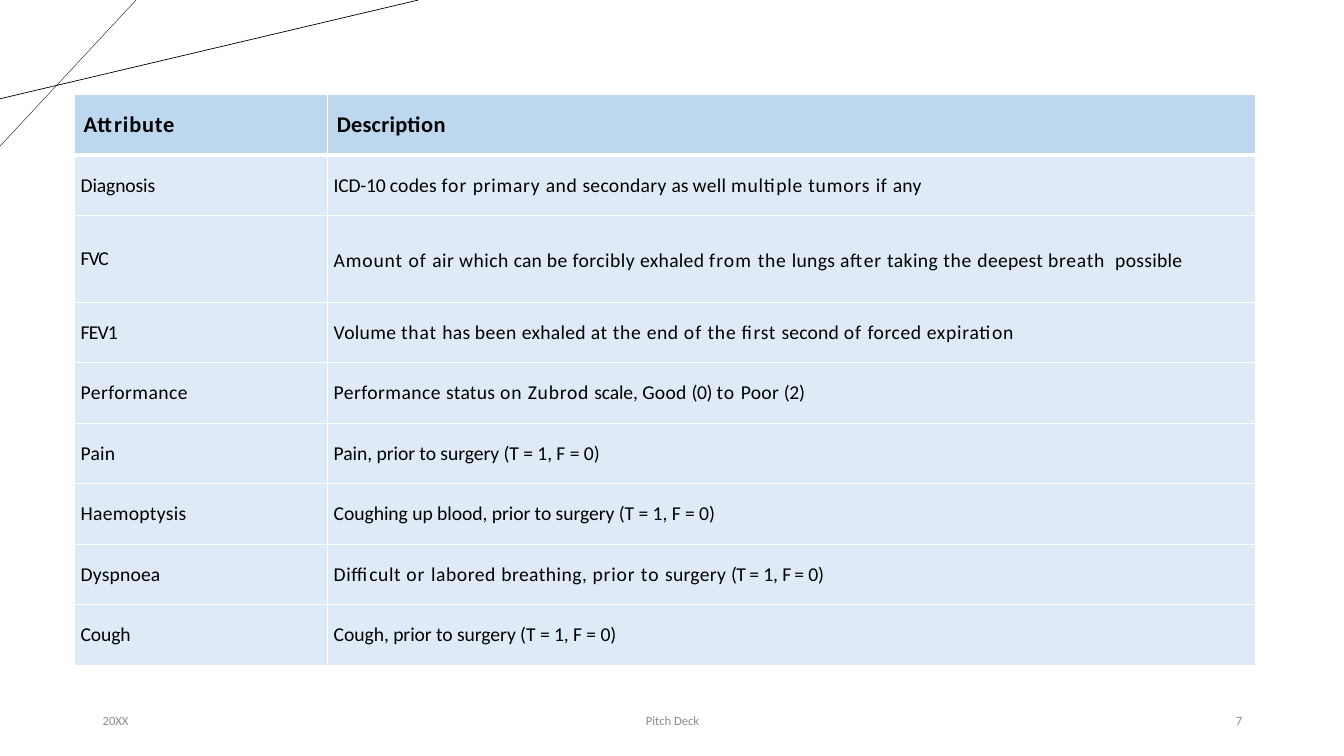
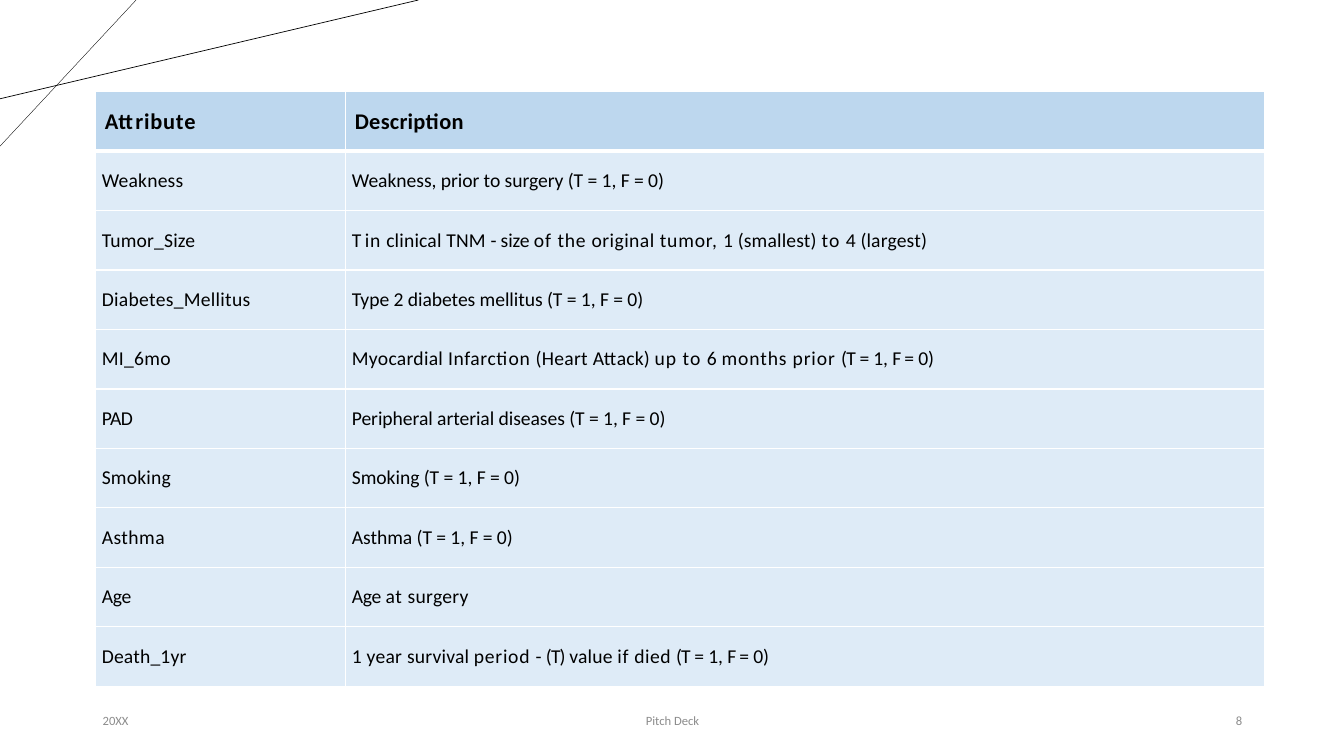
from itertools import chain, groupby, repeat

from lxml import etree
from pptx import Presentation
from pptx import util as u
from pptx.dml import color
from pptx.enum import shapes, text
from pptx.oxml import ns

PX = 9144  # EMU in one px, 100 px to the inch
BLACK, WHITE, GREY = "000000", "FFFFFF", "8C8C8C"
HEAD, BODY = "BDD7EE", "DEEBF7"
LEFT, MID, RIGHT = text.PP_ALIGN.LEFT, text.PP_ALIGN.CENTER, text.PP_ALIGN.RIGHT
TIGHT = (-0.5,)

# Rows: attribute, its letter gap, description, gap of each word.
# Gaps are tenths of a point; the last one runs on to the end.
TITLES = ("Attribute", 6, "Description", (2,))
FIRST = [
    ("Diagnosis", -1, "ICD-10 codes for primary and secondary as well multiple tumors if any",
     (-2, 1, 7, 5, 4, 2, -2, 2, 5, 6, 5, 1)),
    ("FVC", -8, "Amount of air which can be forcibly exhaled from the lungs after "
     "taking the deepest breath  possible",
     (6, 7, 3, 3, 1, 3, 3, 2, 8, 5, 2, 5, 3, 5, 2, 5, 2)),
    ("FEV1", -6, "Volume that has been exhaled at the end of the first second of forced expiration",
     (2, 6, 1, 3, 2, 4, 5, 4, 7, 5, 5, 1, 7, 4, 5)),
    ("Performance", 3, "Performance status on Zubrod scale, Good (0) to Poor (2)",
     (3, 2, 6, 5, -1, 2, -3, 7, 2, -3)),
    ("Pain", 1, "Pain, prior to surgery (T = 1, F = 0)", TIGHT),
    ("Haemoptysis", 2, "Coughing up blood, prior to surgery (T = 1, F = 0)", TIGHT),
    ("Dyspnoea", 1, "Difficult or labored breathing, prior to surgery (T = 1, F = 0)",
     (4, 7, 4, 3, 6, 7, 2, -6, -1, -1, -11, -1, -2)),
    ("Cough", -1, "Cough, prior to surgery (T = 1, F = 0)", TIGHT),
]
SECOND = [
    ("Weakness", 1, "Weakness, prior to surgery (T = 1, F = 0)", TIGHT),
    ("Tumor_Size", 1, "T in clinical TNM - size of the original tumor, 1 (smallest) to 4 (largest)",
     (-7, 5, 1, 1, -1, -1, 7, 5, 3, 6, 1, 1, 7, 1)),
    ("Diabetes_Mellitus", 2, "Type 2 diabetes mellitus (T = 1, F = 0)", TIGHT),
    ("MI_6mo", 2, "Myocardial Infarction (Heart Attack) up to 6 months prior (T = 1, F = 0)",
     (2, 4, 2, 1, 7, 7, 1, 6, 6, -6, -1, -1, -11, -1, -2)),
    ("PAD", -3, "Peripheral arterial diseases (T = 1, F = 0)", TIGHT),
    ("Smoking", 1, "Smoking (T = 1, F = 0)", TIGHT),
    ("Asthma", 3, "Asthma (T = 1, F = 0)", TIGHT),
    ("Age", -2, "Age at surgery", (-2, 4, 2)),
    ("Death_1yr", 1, "1 year survival period - (T) value if died (T = 1, F = 0)",
     (1, 2, 1, 5, -1, -6, 1, 5, 3, -6, -1, -1, -11, -1, -2)),
]


def rgb(code):
    return color.RGBColor.from_string(code)


def write(frame, words, size=14, ink=BLACK, bold=False, align=LEFT,
          gaps=(0,), indent=0, before=0, lead=None):
    """Fill the frame with one paragraph, one run per letter gap."""
    para = frame.paragraphs[0]
    para.alignment = align
    para.space_before = u.Pt(before)
    if lead:
        para.line_spacing = lead
    para._p.get_or_add_pPr().set("marL", str(indent * PX))
    parts = words.split(" ")
    tails = [" "] * (len(parts) - 1) + [""]
    pairs = zip(parts, tails, chain(gaps, repeat(gaps[-1])))
    for gap, group in groupby(pairs, key=lambda item: item[2]):
        run = para.add_run()
        run.text = "".join(part + tail for part, tail, _ in group)
        font = run.font
        font.name, font.size, font.bold = "Calibri", u.Pt(size), bold
        font.color.rgb = rgb(ink)
        font._element.set("spc", str(int(gap * 10)))


class Deck:
    def __init__(self):
        self.prs = Presentation()
        self.prs.slide_width = 1333 * PX
        self.prs.slide_height = 750 * PX
        self.slide = None

    def page(self, number):
        """Start a slide with the corner lines and the footer."""
        self.slide = self.prs.slides.add_slide(self.prs.slide_layouts[6])
        self.line(135, 0, 0, 145, 0.25)
        self.line(415, 0, 0, 98, 0.5)
        self.label("20XX", 92, 300, LEFT)
        self.label("Pitch Deck", 442, 450, MID)
        self.label(str(number), 942, 300, RIGHT)

    def line(self, x1, y1, x2, y2, width):
        line = self.slide.shapes.add_connector(
            shapes.MSO_CONNECTOR.STRAIGHT, x1 * PX, y1 * PX, x2 * PX, y2 * PX)
        line.line.color.rgb = rgb(BLACK)
        line.line.width = u.Pt(width)
        etree.SubElement(line._element.spPr, ns.qn("a:effectLst"))

    def label(self, words, left, width, align):
        box = self.slide.shapes.add_textbox(left * PX, 695 * PX, width * PX, 40 * PX)
        frame = box.text_frame
        frame.word_wrap = True
        frame.vertical_anchor = text.MSO_ANCHOR.MIDDLE
        write(frame, words, size=9, ink=GREY, align=align)

    def edge(self, cell, side, width):
        line = etree.SubElement(cell._tc.get_or_add_tcPr(), ns.qn("a:ln" + side),
                                w=str(u.Pt(width)))
        fill = etree.SubElement(line, ns.qn("a:solidFill"))
        etree.SubElement(fill, ns.qn("a:srgbClr"), val=WHITE)

    def cell(self, cell, row, words, gaps, lead=None):
        head = row == 0
        cell.margin_left = cell.margin_right = cell.margin_top = cell.margin_bottom = 0
        cell.vertical_anchor = text.MSO_ANCHOR.MIDDLE
        # The rule under the header is shared by rows 0 and 1
        for side, width in (("L", 1), ("R", 1), ("T", 3 if row == 1 else 1),
                            ("B", 3 if head else 1)):
            self.edge(cell, side, width)
        cell.fill.solid()
        cell.fill.fore_color.rgb = rgb(HEAD if head else BODY)
        write(cell.text_frame, words, size=16 if head else 14, bold=head, gaps=gaps,
              indent=9 if head else 6, before=6.2, lead=lead)

    def table(self, rows, left, top, cols, high, tall=None):
        """Draw the header and rows; tall maps a row to its own height."""
        tall = tall or {}
        rows = [TITLES] + rows
        sizes = [tall.get(row, high) for row in range(len(rows))]
        grid = self.slide.shapes.add_table(
            len(rows), len(cols), left * PX, top * PX, sum(cols) * PX, sum(sizes) * PX).table
        grid.first_row = grid.horz_banding = False
        for col, width in zip(grid.columns, cols):
            col.width = width * PX
        for row, (name, gap, about, gaps) in enumerate(rows):
            grid.rows[row].height = sizes[row] * PX
            self.cell(grid.cell(row, 0), row, name, (gap,))
            self.cell(grid.cell(row, 1), row, about, gaps, 1.15 if row in tall else None)


def main():
    deck = Deck()

    # Attributes, first part
    deck.page(7)
    deck.table(FIRST, 74, 94, (251, 920), 60, tall={2: 86})

    # Attributes, second part
    deck.page(8)
    deck.table(SECOND, 95, 91, (248, 911), 59)

    deck.prs.save("out.pptx")


if __name__ == "__main__":
    main()
